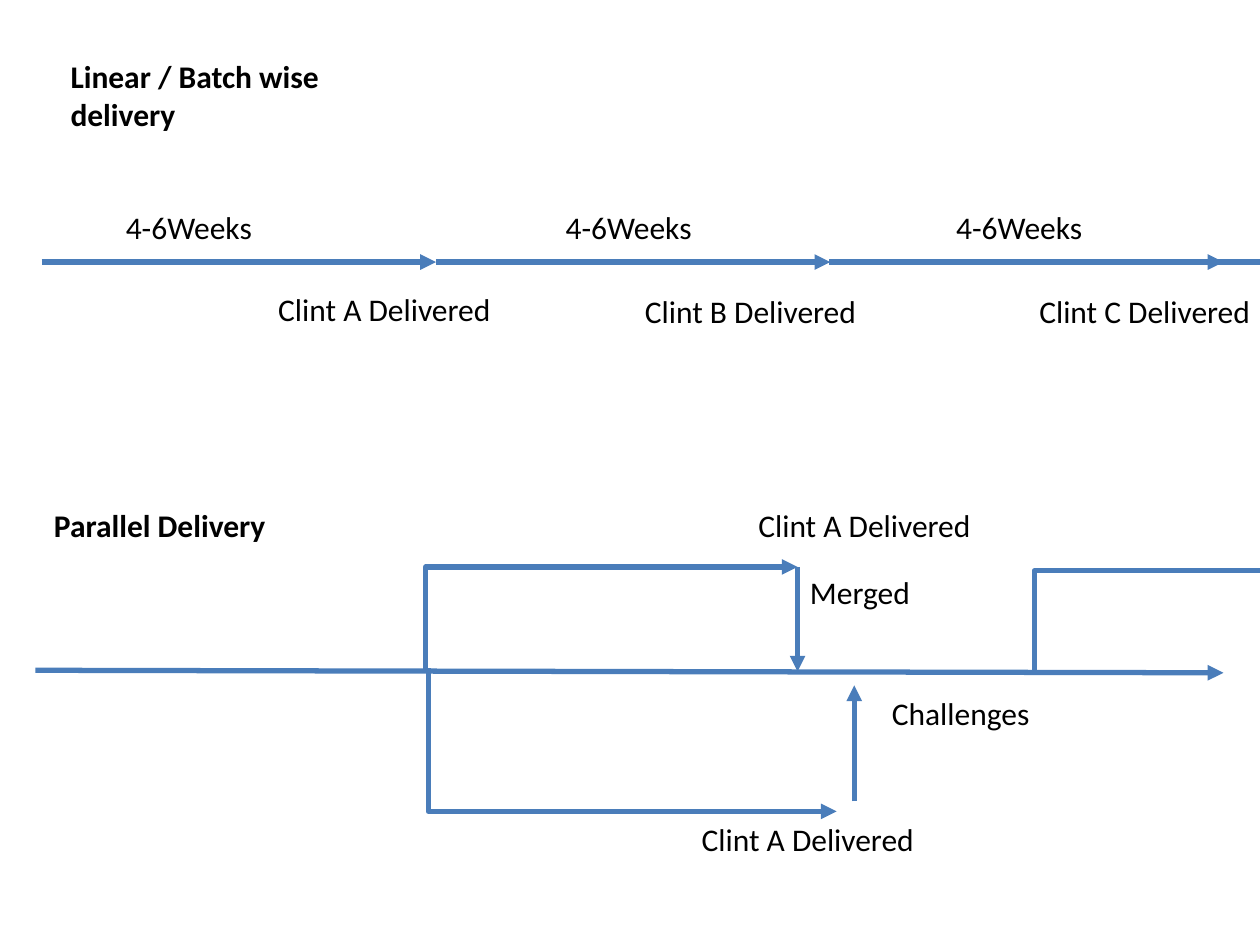
from lxml.etree import SubElement
from pptx import Presentation
from pptx.dml.color import RGBColor
from pptx.enum.shapes import MSO_CONNECTOR
from pptx.enum.text import MSO_ANCHOR, MSO_AUTO_SIZE, PP_ALIGN
from pptx.oxml.ns import qn
from pptx.util import Inches, Pt

COLORS = {"line": "4A7DBA", "text": "000000"}
TEXT_FORMAT = {"name": "Calibri", "size": Pt(18)}
FRAME_FORMAT = {
    "word_wrap": True,
    "auto_size": MSO_AUTO_SIZE.NONE,
    "vertical_anchor": MSO_ANCHOR.TOP,
    "margin_left": Inches(0.1),
    "margin_right": Inches(0.1),
    "margin_top": Inches(0.05),
    "margin_bottom": Inches(0.05),
}
LABEL_HEIGHT = 0.4
DELIVERED_WIDTH, WEEKS_WIDTH = 2.62, 1.21

# Headings: text, (left, top, width, height)
TITLE = ("Linear / Batch wise delivery", (0.46, 0.4, 2.87, 0.71))
SUBHEADING = ("Parallel Delivery", (0.33, 3.97, 2.87, LABEL_HEIGHT))

# Labels: text, left, top, width
LABELS = [
    ("Clint A Delivered", 2.11, 2.25, DELIVERED_WIDTH),
    ("Clint B Delivered", 5.02, 2.27, DELIVERED_WIDTH),
    ("Clint C Delivered", 8.15, 2.27, DELIVERED_WIDTH),
    ("Clint A Delivered", 5.92, 3.97, DELIVERED_WIDTH),
    ("Clint A Delivered", 5.47, 6.46, DELIVERED_WIDTH),
    ("Merged", 6.33, 4.5, 1.08),
    ("Challenges", 6.98, 5.46, 1.43),
] + [("4-6Weeks", left, 1.6, WEEKS_WIDTH) for left in (0.9, 4.39, 7.49)]

# Batch timeline: equal arrows on one level
BATCH_TOP, BATCH_LENGTH = 2.08, 3.13
BATCH_STARTS = [0.33, 3.46, 6.58, 9.6]

# Parallel timeline: start, end
PARALLEL_ARROWS = [
    ((0.28, 5.32), (9.71, 5.34)),  # main line
    ((6.33, 4.5), (6.33, 5.33)),   # merge
    ((6.78, 6.36), (6.78, 5.44)),  # challenges
]
# Branches: start, end, x of the vertical part
BRANCHES = [
    ((3.42, 5.32), (6.33, 4.5), 3.38),
    ((3.39, 5.34), (6.64, 6.44), 3.4),
    ((8.25, 5.34), (11.16, 4.53), 8.21),
]


def write_text(shape, text, bold=False):
    frame = shape.text_frame
    for name, value in FRAME_FORMAT.items():
        setattr(frame, name, value)
    paragraph = frame.paragraphs[0]
    paragraph.text = text
    paragraph.alignment = PP_ALIGN.LEFT
    font = paragraph.runs[0].font
    for name, value in {**TEXT_FORMAT, "bold": bold}.items():
        setattr(font, name, value)
    font.color.rgb = RGBColor.from_string(COLORS["text"])


def add_text(slide, text, box, bold=False):
    write_text(slide.shapes.add_textbox(*map(Inches, box)), text, bold)


def add_arrow(slide, start, end, bend=None):
    kind = MSO_CONNECTOR.STRAIGHT if bend is None else MSO_CONNECTOR.ELBOW
    connector = slide.shapes.add_connector(kind, *map(Inches, (*start, *end)))
    connector.line.color.rgb = RGBColor.from_string(COLORS["line"])
    connector.line.width = Pt(3)
    properties = connector._element.spPr
    SubElement(properties.find(qn("a:ln")), qn("a:tailEnd"), type="triangle")
    SubElement(properties, qn("a:effectLst"))
    if bend is not None:
        share = round((bend - start[0]) / (end[0] - start[0]) * 100000)
        adjustments = properties.find(qn("a:prstGeom")).find(qn("a:avLst"))
        SubElement(adjustments, qn("a:gd"), name="adj1", fmla=f"val {share}")


def main():
    presentation = Presentation()
    presentation.slide_width, presentation.slide_height = Inches(10), Inches(7.5)
    slide = presentation.slides.add_slide(presentation.slide_layouts[5])

    # Headings
    text, box = TITLE
    title = slide.shapes.title
    for name, value in zip(("left", "top", "width", "height"), box):
        setattr(title, name, Inches(value))
    write_text(title, text, bold=True)
    add_text(slide, *SUBHEADING, bold=True)

    # Batch timeline
    for left in BATCH_STARTS:
        add_arrow(slide, (left, BATCH_TOP), (left + BATCH_LENGTH, BATCH_TOP))

    # Parallel timeline and its branches
    for arrow in PARALLEL_ARROWS + BRANCHES:
        add_arrow(slide, *arrow)

    # Labels
    for text, left, top, width in LABELS:
        add_text(slide, text, (left, top, width, LABEL_HEIGHT))

    presentation.save("out.pptx")


if __name__ == "__main__":
    main()
